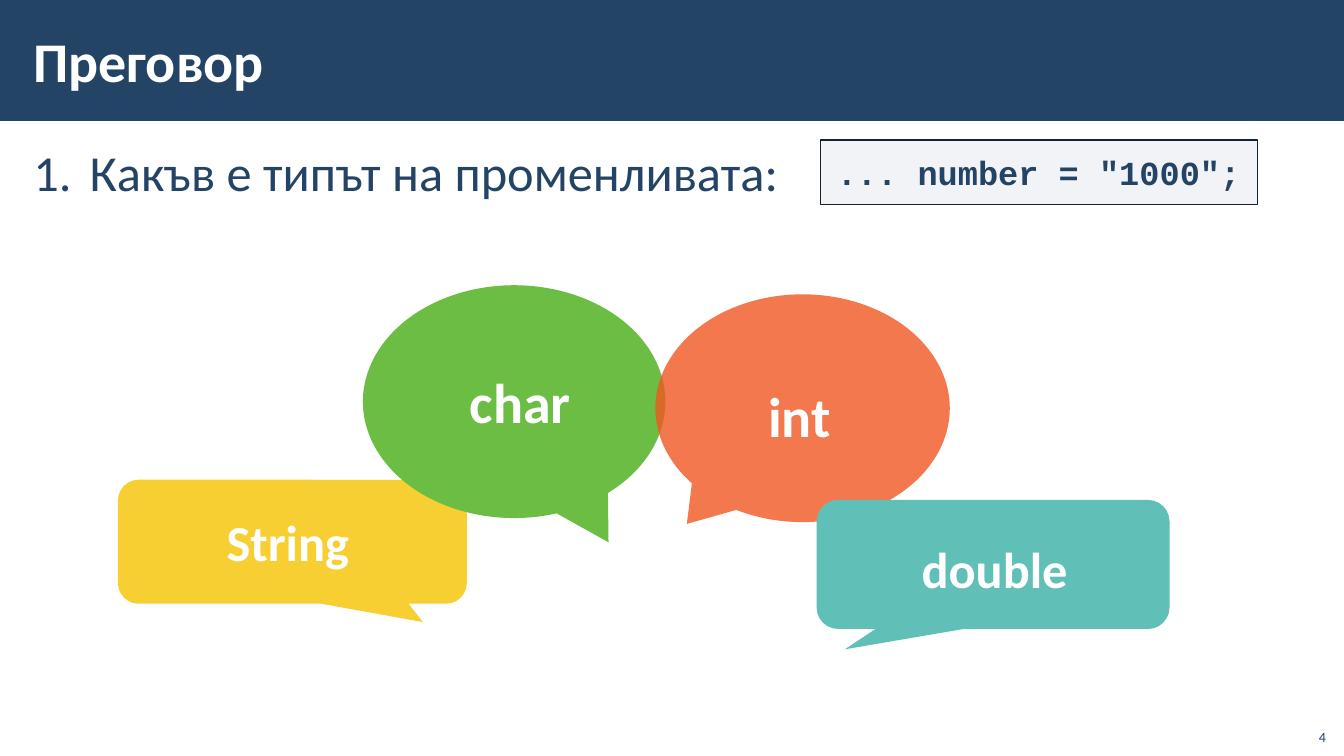
from lxml import etree
from pptx import Presentation
from pptx.dml.color import RGBColor
from pptx.enum.shapes import MSO_SHAPE
from pptx.enum.text import MSO_ANCHOR, PP_ALIGN
from pptx.oxml.ns import qn
from pptx.util import Inches, Pt

RECT = MSO_SHAPE.RECTANGLE
ROUNDED = MSO_SHAPE.ROUNDED_RECTANGULAR_CALLOUT
OVAL = MSO_SHAPE.OVAL_CALLOUT
LEFT, CENTER, RIGHT = PP_ALIGN.LEFT, PP_ALIGN.CENTER, PP_ALIGN.RIGHT
TOP, MIDDLE, BOTTOM = MSO_ANCHOR.TOP, MSO_ANCHOR.MIDDLE, MSO_ANCHOR.BOTTOM

# Content
COLORS = {
    "navy": "234465", "white": "FFFFFF", "yellow": "F5C300", "green": "6CBD44",
    "orange": "F15721", "teal": "60BFB7", "gray": "ADB4C3", "outline": "112233",
}
TITLE = "Преговор"
QUESTION = "Какъв е типът на променливата:"
CODE = '... number = "1000";'
PAGE_NUMBER = "4"

# Answer bubbles, back to front
BUBBLES = [
    dict(text="String", kind=ROUNDED, at=(1.17, 4.76, 3.46, 1.23), tail=(0.374, 0.648),
         color="yellow", opacity=80, label=(1.53, 4.89, 2.65, 0.87),
         size=36, align=CENTER, spacing=1.1, indent=0),
    dict(text="char", kind=OVAL, at=(3.6, 2.83, 3, 2.31), tail=(0.312, 0.604),
         color="green", opacity=100, label=(4, 3.53, 2.1, 0.91),
         size=40, align=LEFT, spacing=1, indent=0.5),
    dict(text="int", kind=OVAL, at=(6.5, 2.92, 2.92, 2.26), tail=(-0.393, 0.508),
         color="orange", opacity=80, label=(7.46, 3.6, 1.71, 0.94),
         size=40, align=LEFT, spacing=1.1, indent=0),
    dict(text="double", kind=ROUNDED, at=(8.1, 4.96, 3.5, 1.28), tail=(-0.42, 0.658),
         color="teal", opacity=100, label=(8.37, 5.16, 2.99, 0.87),
         size=36, align=CENTER, spacing=1.1, indent=0),
]


def rgb(name):
    return RGBColor.from_string(COLORS[name])


def add_box(parent, kind, at, color, opacity=100):
    box = parent.shapes.add_shape(kind, *map(Inches, at))
    box.shadow.inherit = False
    box.fill.solid()
    box.fill.fore_color.rgb = rgb(color)
    box.line.fill.background()
    if opacity < 100:
        tint = box._element.spPr.find(qn("a:solidFill"))[0]
        etree.SubElement(tint, qn("a:alpha")).set("val", str(opacity * 1000))
    return box


def write(box, text, size, color="white", font="Calibri", bold=True, align=LEFT,
          anchor=TOP, insets=(0.16, 0.12), wrap=True):
    frame = box.text_frame
    frame.text = text
    frame.word_wrap = wrap
    frame.vertical_anchor = anchor
    frame.margin_left = frame.margin_right = Inches(insets[0])
    frame.margin_top = frame.margin_bottom = Inches(insets[1])
    para = frame.paragraphs[0]
    para.alignment = align
    style = para.runs[0].font
    style.name, style.size, style.bold = font, Pt(size), bold
    style.color.rgb = rgb(color)
    return para


def add_text(parent, at, text, size, **options):
    box = parent.shapes.add_textbox(*map(Inches, at))
    return write(box, text, size, **options)


def set_indent(para, left, first=0):
    properties = para._p.get_or_add_pPr()
    properties.set("marL", str(Inches(left)))
    properties.set("indent", str(Inches(first)))
    return properties


def add_bubble(page, bubble):
    group = page.shapes.add_group_shape()
    box = add_box(group, bubble["kind"], bubble["at"], bubble["color"], bubble["opacity"])
    for index, value in enumerate(bubble["tail"]):
        box.adjustments[index] = value
    para = add_text(group, bubble["label"], bubble["text"], bubble["size"],
                    align=bubble["align"])
    para.line_spacing = bubble["spacing"]
    set_indent(para, bubble["indent"])


def main():
    deck = Presentation()
    deck.slide_width, deck.slide_height = Inches(13.33), Inches(7.5)
    page = deck.slides.add_slide(deck.slide_layouts[6])

    # Title bar
    add_box(page, RECT, (0, 0, 13.33, 1.2), "navy")
    add_text(page, (0.21, 0.11, 10.63, 0.97), TITLE, 40, anchor=MIDDLE,
             insets=(0.12, 0.04))

    # Numbered question
    question = add_text(page, (0.21, 1.33, 12.91, 5.67), QUESTION, 36, color="navy",
                        bold=False, insets=(0.12, 0.04))
    question.line_spacing = 1.05
    question.space_before = question.space_after = Pt(6)
    numbering = etree.SubElement(set_indent(question, 0.56, -0.56), qn("a:buAutoNum"))
    numbering.set("type", "arabicPeriod")

    # Answers
    for bubble in BUBBLES:
        add_bubble(page, bubble)

    # Page number
    add_text(page, (12.85, 7.12, 0.4, 0.32), PAGE_NUMBER, 10, color="navy",
             bold=False, align=RIGHT, anchor=BOTTOM, insets=(0.1, 0.05))

    # Code line
    code_box = add_box(page, RECT, (8.14, 1.39, 4.33, 0.64), "gray", 15)
    code_box.line.color.rgb = rgb("outline")
    code_box.line.width = Pt(1)
    code = write(code_box, CODE, 24, color="navy", font="Courier New", wrap=False)
    code.space_before = code.space_after = Pt(6)

    deck.save("out.pptx")


if __name__ == "__main__":
    main()
